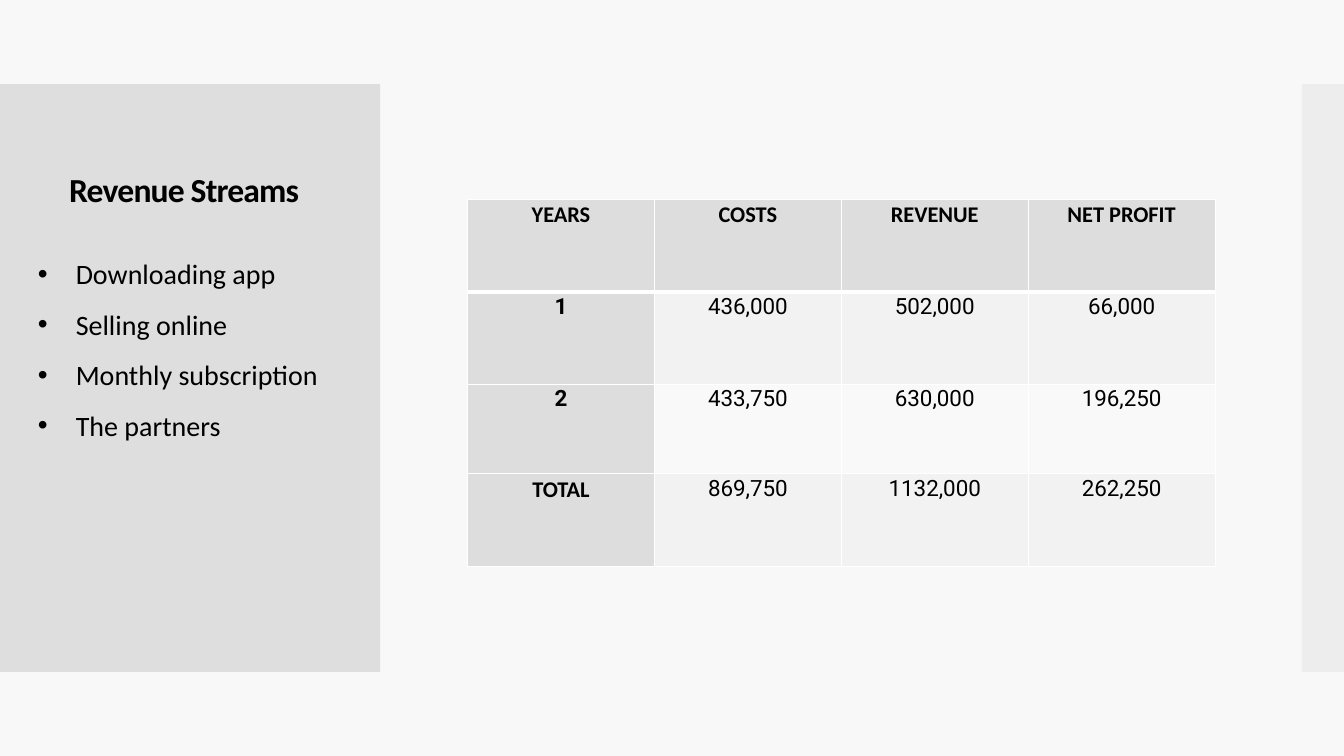
from lxml import etree
from pptx import Presentation
from pptx import util as u
from pptx.dml.color import RGBColor
from pptx.enum import shapes, text
from pptx.oxml.ns import qn

# Content
HEADING = "Revenue Streams"
STREAMS = ["Downloading app", "Selling online", "Monthly subscription", "The partners"]
FINANCES = [
    ("YEARS", "COSTS", "REVENUE", "NET PROFIT"),
    ("1", "436,000", "502,000", "66,000"),
    ("2", "433,750", "630,000", "196,250"),
    ("TOTAL", "869,750", "1132,000", "262,250"),
]

# Look, lengths in points
BLACK, WHITE, GREY = "000000", "FFFFFF", "DDDDDD"
BAND_FILLS = ["F9F9F9", "F2F2F2"]
PANELS = [(0, 271.5, 95), (930, 30, 40)]  # left, width, opacity in percent
PANEL_TOP, PANEL_HEIGHT = 60, 420
TEXT_LEFT, TEXT_WIDTH = 20, 223
COLUMN_WIDTH, ROW_HEIGHTS = 133.5, [66, 66, 64, 66]


def paint(color_format, color):
    color_format.rgb = RGBColor.from_string(color)


def fill_with(part, color):
    part.fill.solid()
    paint(part.fill.fore_color, color)


def add_text(paragraph, words, size, font="Calibri", bold=False):
    run = paragraph.add_run()
    run.text = words
    run.font.size, run.font.name, run.font.bold = u.Pt(size), font, bold
    paint(run.font.color, BLACK)
    return run


def add_borders(cell, widths):
    properties = cell._tc.get_or_add_tcPr()
    for place, (side, width) in enumerate(widths.items()):
        border = etree.Element(qn("a:ln" + side), w=str(u.Pt(width)))
        fill = etree.SubElement(border, qn("a:solidFill"))
        etree.SubElement(fill, qn("a:srgbClr"), val=WHITE)
        properties.insert(place, border)


deck = Presentation()
deck.slide_width, deck.slide_height = u.Pt(960), u.Pt(540)
slide = deck.slides.add_slide(deck.slide_layouts[5])
fill_with(slide.background, "F8F8F8")

# Side panels, kept behind the title
for place, (left, width, opacity) in enumerate(PANELS):
    panel = slide.shapes.add_shape(shapes.MSO_SHAPE.RECTANGLE, u.Pt(left), u.Pt(PANEL_TOP),
                                   u.Pt(width), u.Pt(PANEL_HEIGHT))
    panel.shadow.inherit = False
    panel.line.fill.background()
    fill_with(panel, GREY)
    color = panel._element.spPr.find(".//" + qn("a:srgbClr"))
    etree.SubElement(color, qn("a:alpha"), val=str(opacity * 1000))
    slide.shapes._spTree.insert(2 + place, panel._element)

# Title, raised one line above the bottom of its box
title = slide.shapes.title
title.left, title.top, title.width, title.height = map(u.Pt, (TEXT_LEFT, 90, TEXT_WIDTH, 90))
frame = title.text_frame
frame.word_wrap = True
frame.auto_size = text.MSO_AUTO_SIZE.NONE
frame.vertical_anchor = text.MSO_ANCHOR.BOTTOM
frame.margin_bottom = u.Pt(30)
heading = frame.paragraphs[0]
heading.alignment, heading.line_spacing = text.PP_ALIGN.CENTER, 0.9
heading_run = add_text(heading, HEADING, 24, bold=True)
heading_run.font._element.set("spc", "-60")

# Finance table
table = slide.shapes.add_table(len(FINANCES), len(FINANCES[0]), u.Pt(334), u.Pt(142.5),
                               u.Pt(COLUMN_WIDTH * len(FINANCES[0])),
                               u.Pt(sum(ROW_HEIGHTS))).table
for column in table.columns:
    column.width = u.Pt(COLUMN_WIDTH)
for r, (row, height) in enumerate(zip(FINANCES, ROW_HEIGHTS)):
    table.rows[r].height = u.Pt(height)
    for c, entry in enumerate(row):
        cell = table.cell(r, c)
        label = r == 0 or c == 0
        cell.margin_left = cell.margin_right = u.Pt(5)
        cell.margin_top = cell.margin_bottom = 0
        fill_with(cell, GREY if label else BAND_FILLS[r % 2])
        add_borders(cell, {"L": 1, "R": 1, "T": 3 if r == 1 else 1, "B": 3 if r == 0 else 1})
        paragraph = cell.text_frame.paragraphs[0]
        paragraph.alignment, paragraph.line_spacing = text.PP_ALIGN.CENTER, 1.07
        add_text(paragraph, entry, 16, "Calibri" if entry.isalpha() or r == 0 else "Roboto", label)

# Bulleted revenue streams
streams = slide.shapes.add_textbox(u.Pt(TEXT_LEFT), u.Pt(180), u.Pt(TEXT_WIDTH), u.Pt(278))
streams.text_frame.word_wrap = True
for i, stream in enumerate(STREAMS):
    paragraph = streams.text_frame.paragraphs[0] if i == 0 else streams.text_frame.add_paragraph()
    paragraph.space_before = u.Pt(12)
    add_text(paragraph, stream, 20)
    properties = paragraph._p.get_or_add_pPr()
    properties.set("marL", str(u.Pt(27)))
    properties.set("indent", str(u.Pt(-27)))
    bullet_color = etree.SubElement(properties, qn("a:buClr"))
    etree.SubElement(bullet_color, qn("a:srgbClr"), val=BLACK)
    etree.SubElement(properties, qn("a:buFont"), typeface="Arial")
    etree.SubElement(properties, qn("a:buChar"), char="•")

deck.save("out.pptx")
